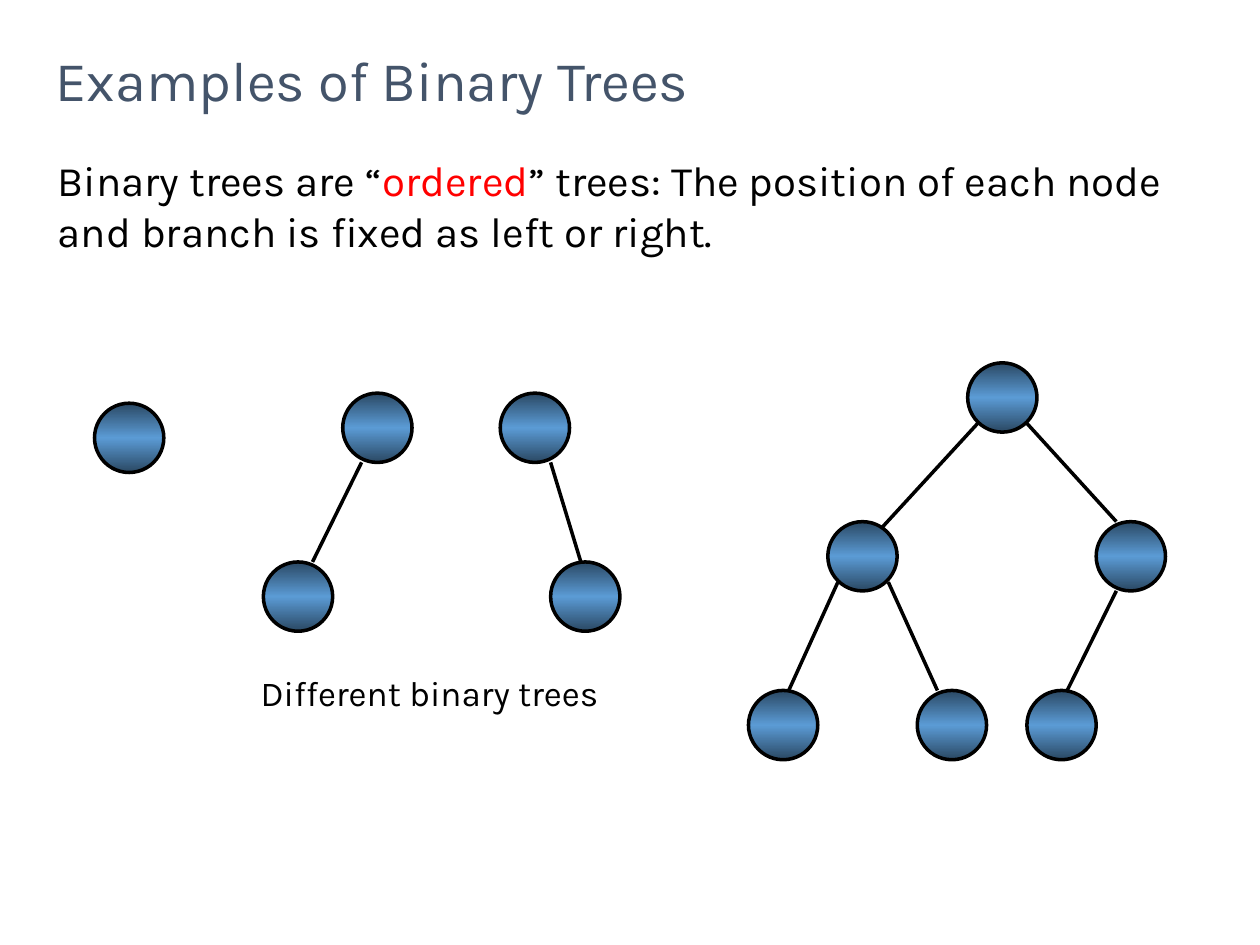
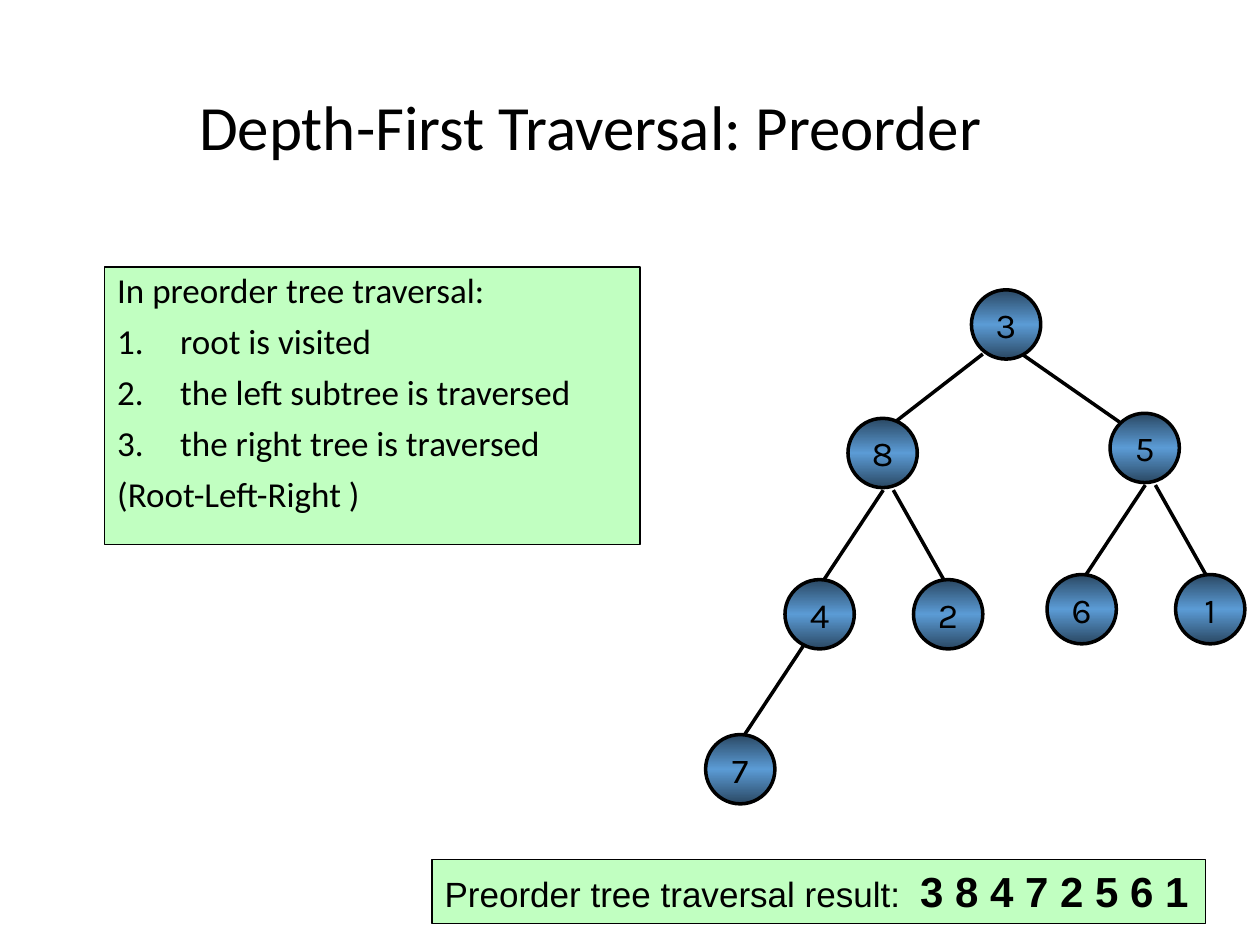
from lxml.etree import SubElement
from pptx import Presentation
from pptx.dml.color import RGBColor
from pptx.enum.shapes import MSO_CONNECTOR, MSO_SHAPE
from pptx.enum.text import MSO_ANCHOR, MSO_AUTO_SIZE, PP_ALIGN
from pptx.oxml.ns import qn
from pptx.util import Inches, Pt

BLACK = RGBColor(0x00, 0x00, 0x00)
RED = RGBColor(0xFF, 0x00, 0x00)
SLATE = RGBColor(0x44, 0x54, 0x6A)
NODE_BLUE = RGBColor(0x5B, 0x9B, 0xD5)
NODE_DARK = RGBColor(0x2A, 0x48, 0x63)
PALE_GREEN = RGBColor(0xC1, 0xFF, 0xC1)

TITLE_ONLY, TITLE_AND_CONTENT = 5, 1
NODE_SIZE = 0.55


def place(shape, left, top, width, height):
    shape.left, shape.top = Inches(left), Inches(top)
    shape.width, shape.height = Inches(width), Inches(height)


def style_run(run, font_name, size, color=BLACK, bold=False):
    run.font.name = font_name
    run.font.size = Pt(size)
    run.font.color.rgb = color
    run.font.bold = bold


def outline(shape, width):
    shape.line.color.rgb = BLACK
    shape.line.width = Pt(width)


def green_panel(shape):
    shape.fill.solid()
    shape.fill.fore_color.rgb = PALE_GREEN
    outline(shape, 0.75)


def add_title(slide, text, box, font_name, size, color, anchor):
    title = slide.shapes.title
    place(title, *box)
    frame = title.text_frame
    frame.text = text
    frame.auto_size = MSO_AUTO_SIZE.NONE
    frame.vertical_anchor = anchor
    paragraph = frame.paragraphs[0]
    paragraph.alignment = PP_ALIGN.LEFT
    paragraph.line_spacing = 0.9
    style_run(paragraph.runs[0], font_name, size, color)


def add_text(slide, box, runs, font_name):
    """Write one paragraph; each run is (text, size, color, bold)."""
    textbox = slide.shapes.add_textbox(*map(Inches, box))
    textbox.text_frame.word_wrap = True
    paragraph = textbox.text_frame.paragraphs[0]
    for text, size, color, bold in runs:
        run = paragraph.add_run()
        run.text = text
        style_run(run, font_name, size, color, bold)
    return textbox


def add_node(slide, left, top, key=""):
    node = slide.shapes.add_shape(
        MSO_SHAPE.OVAL, *map(Inches, (left, top, NODE_SIZE, NODE_SIZE)))
    node.shadow.inherit = False
    node.fill.gradient()
    node.fill.gradient_angle = 90
    first, last = node.fill.gradient_stops
    for stop in (first, last):
        stop.color.rgb = NODE_DARK
    stops = first._gs.getparent()
    middle = SubElement(stops, qn("a:gs"), pos="50000")
    SubElement(middle, qn("a:srgbClr"), val=str(NODE_BLUE))
    stops.insert(1, middle)
    outline(node, 2)
    if key:
        frame = node.text_frame
        frame.margin_left = frame.margin_right = 0
        frame.margin_top = frame.margin_bottom = 0
        frame.word_wrap = False
        frame.vertical_anchor = MSO_ANCHOR.MIDDLE
        paragraph = frame.paragraphs[0]
        paragraph.text = key
        paragraph.alignment = PP_ALIGN.CENTER
        style_run(paragraph.runs[0], "Karla", 20)


def add_edge(slide, x1, y1, x2, y2):
    edge = slide.shapes.add_connector(
        MSO_CONNECTOR.STRAIGHT, *map(Inches, (x1, y1, x2, y2)))
    outline(edge, 2)
    SubElement(edge._element.spPr, qn("a:effectLst"))


def add_tree(slide, left, top, nodes, edges=()):
    """Draw edges, then nodes (x, y[, key]), relative to left and top."""
    for x1, y1, x2, y2 in edges:
        add_edge(slide, left + x1, top + y1, left + x2, top + y2)
    for x, y, *key in nodes:
        add_node(slide, left + x, top + y, *key)


def add_subtree(slide, left, top, root, left_child, right_child):
    add_tree(slide, left, top,
             [(0.5, 0, root), (0, 1.28, left_child), (1.02, 1.28, right_child)],
             [(0.78, 0.57, 0.31, 1.28), (0.86, 0.57, 1.26, 1.28)])


def add_rules(slide, box, heading, steps, summary):
    """Fill the body placeholder with a heading, numbered steps and a summary."""
    body = slide.placeholders[1]
    place(body, *box)
    green_panel(body)
    frame = body.text_frame
    frame.text = "\n".join([heading, *steps, summary])
    frame.auto_size = MSO_AUTO_SIZE.NONE
    for index, paragraph in enumerate(frame.paragraphs):
        numbered = 0 < index <= len(steps)
        hang = Inches(0.5) if numbered else 0
        properties = paragraph._p.get_or_add_pPr()
        properties.set("marL", str(hang))
        properties.set("indent", str(-hang))
        if numbered:
            SubElement(properties, qn("a:buFont"), typeface="+mj-lt")
            SubElement(properties, qn("a:buAutoNum"), type="arabicPeriod")
        else:
            SubElement(properties, qn("a:buNone"))
        paragraph.line_spacing = 0.9
        paragraph.space_before = Pt(7.5 if index else 0)
        style_run(paragraph.runs[0], "Calibri", 20)


def build_examples(deck):
    slide = deck.slides.add_slide(deck.slide_layouts[TITLE_ONLY])
    add_title(slide, "Examples of Binary Trees", (0.34, 0.08, 8.52, 0.87),
              "Karla", 32, SLATE, MSO_ANCHOR.BOTTOM)
    add_text(slide, (0.36, 1.18, 9.39, 0.91), [
        ("Binary trees are “", 24, BLACK, False),
        ("ordered", 24, RED, False),
        ("” trees: The position of each node and branch is fixed as left or right.",
         24, BLACK, False)], "Karla")

    add_tree(slide, 0.75, 3.2, [(0, 0)])
    add_tree(slide, 2.09, 3.12, [(0.63, 0), (0, 1.34)], [(0.78, 0.55, 0.39, 1.34)])
    add_tree(slide, 3.97, 3.12, [(0, 0), (0.4, 1.34)], [(0.4, 0.55, 0.64, 1.34)])
    add_tree(slide, 5.94, 2.88,
             [(1.74, 0), (0.63, 1.26), (2.76, 1.26),
              (0, 2.6), (1.34, 2.6), (2.21, 2.6)],
             [(1.82, 0.48, 1.03, 1.34), (2.21, 0.48, 2.92, 1.26),
              (0.71, 1.74, 0.32, 2.6), (1.11, 1.74, 1.5, 2.6),
              (2.92, 1.81, 2.53, 2.6)])
    add_text(slide, (1.97, 5.28, 3.2, 0.44),
             [("Different binary trees", 20, BLACK, False)], "Karla")


def add_preorder_tree(slide, left, top):
    add_tree(slide, left, top, [(2.11, 0, "3"), (0, 3.53, "7")],
             [(2.2, 0.51, 1.49, 1.06), (2.51, 0.51, 3.3, 1.06),
              (0.78, 2.82, 0.31, 3.53)])
    add_subtree(slide, left + 0.63, top + 1.02, "8", "4", "2")
    add_subtree(slide, left + 2.71, top + 0.98, "5", "6", "1")


def build_preorder(deck):
    slide = deck.slides.add_slide(deck.slide_layouts[TITLE_AND_CONTENT])
    add_title(slide, "Depth-First Traversal: Preorder", (1.48, 0.23, 8.52, 1.6),
              "Calibri", 36, BLACK, MSO_ANCHOR.MIDDLE)
    add_rules(slide, (0.83, 2.12, 4.25, 2.2), "In preorder tree traversal:",
              ["root is visited", "the left subtree is traversed",
               "the right tree is traversed"], "(Root-Left-Right )")
    add_preorder_tree(slide, 5.6, 2.3)
    result = add_text(slide, (3.43, 6.82, 6.14, 0.51), [
        ("Preorder tree traversal result:  ", 20, BLACK, False),
        ("3 8 4 7 2 5 6 1", 24, BLACK, True)], "Arial")
    green_panel(result)


def main():
    deck = Presentation()
    deck.slide_width, deck.slide_height = Inches(10), Inches(7.5)
    build_examples(deck)
    build_preorder(deck)
    deck.save("out.pptx")


if __name__ == "__main__":
    main()
